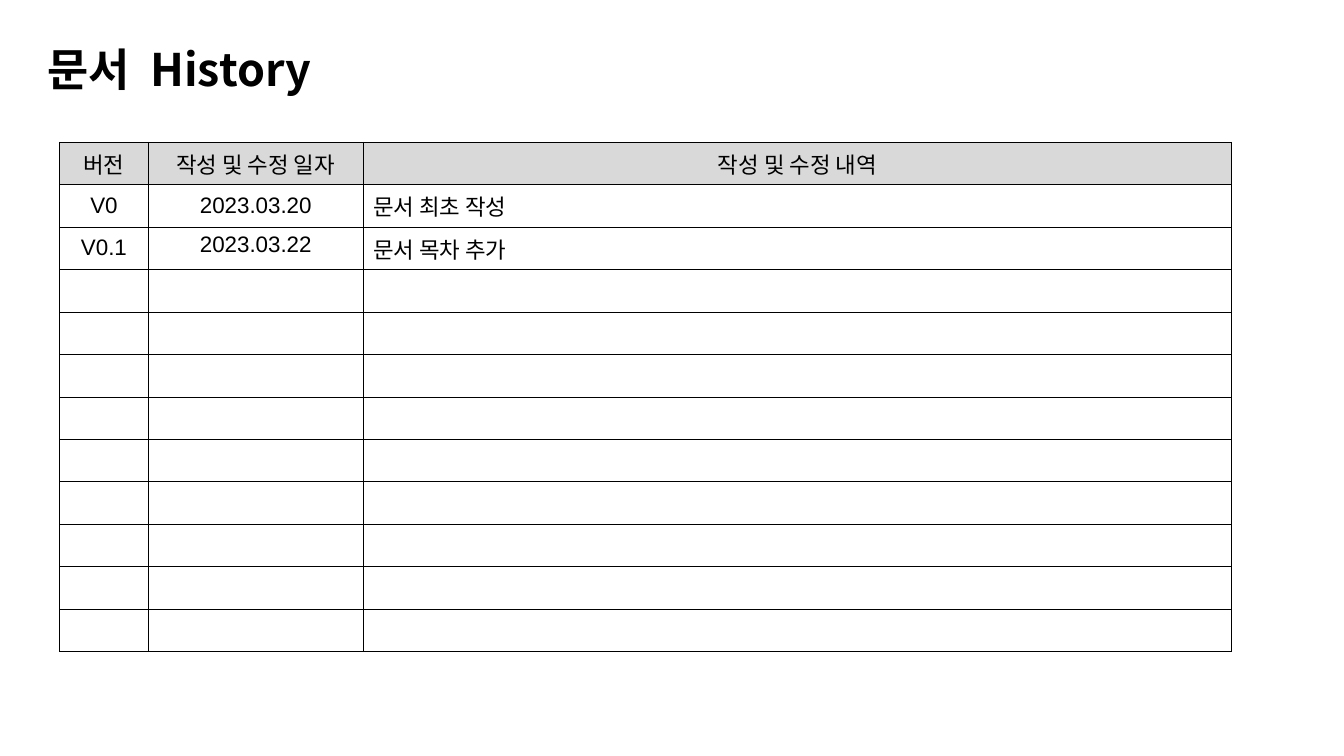
from dataclasses import dataclass

from lxml import etree
from pptx import Presentation
from pptx.dml.color import RGBColor
from pptx.enum.text import MSO_ANCHOR, PP_ALIGN
from pptx.oxml.ns import qn
from pptx.util import Cm, Pt

BLACK = RGBColor(0x00, 0x00, 0x00)
WHITE = RGBColor(0xFF, 0xFF, 0xFF)
GRAY = RGBColor(0xD9, 0xD9, 0xD9)
LEFT, CENTER = PP_ALIGN.LEFT, PP_ALIGN.CENTER
TOP, MIDDLE = MSO_ANCHOR.TOP, MSO_ANCHOR.MIDDLE

KOREAN_FONT = "Noto Sans CJK KR"
TITLE_FORMAT = {"name": KOREAN_FONT, "size": Pt(32), "bold": True}
CELL_FORMAT = {"name": "Arial", "size": Pt(16), "bold": False}
WORD_GAP = 720  # extra width of the title's space, in 1/100 pt
BORDER = Pt(0.5)
ROW_COUNT = 12
ROW_HEIGHT = Cm(1.07)


@dataclass
class Column:
    header: str
    width: float
    align: PP_ALIGN
    fill: RGBColor | None
    margin_x: float
    margin_y: float


@dataclass
class Revision:
    version: str
    date: str
    note: str
    anchor: MSO_ANCHOR


COLUMNS = [
    Column("버전", 2.24, CENTER, None, 0, 0),
    Column("작성 및 수정 일자", 5.41, CENTER, WHITE, 0.25, 0.13),
    Column("작성 및 수정 내역", 21.89, LEFT, WHITE, 0.25, 0.13),
]
REVISIONS = [
    Revision("V0", "2023.03.20", "문서 최초 작성", MIDDLE),
    Revision("V0.1", "2023.03.22", "문서 목차 추가", TOP),
]


def add_run(p, text: str, font_format: dict):
    r = p.add_run()
    r.text = text
    for name, value in font_format.items():
        setattr(r.font, name, value)
    r.font.color.rgb = BLACK
    etree.SubElement(r.font._element, qn("a:ea"), typeface=KOREAN_FONT)
    return r


def add_borders(cell) -> None:
    tcPr = cell._tc.get_or_add_tcPr()
    for side in ("lnL", "lnR", "lnT", "lnB"):
        ln = etree.SubElement(tcPr, qn(f"a:{side}"), w=str(int(BORDER)))
        fill = etree.SubElement(ln, qn("a:solidFill"))
        etree.SubElement(fill, qn("a:srgbClr"), val=str(BLACK))


def fill_cell(cell, col: Column, text: str, align: PP_ALIGN,
              anchor: MSO_ANCHOR, color: RGBColor | None) -> None:
    add_borders(cell)
    if color is None:
        cell.fill.background()
    else:
        cell.fill.solid()
        cell.fill.fore_color.rgb = color
    cell.margin_left = cell.margin_right = Cm(col.margin_x)
    cell.margin_top = cell.margin_bottom = Cm(col.margin_y)
    cell.vertical_anchor = anchor
    p = cell.text_frame.paragraphs[0]
    p.alignment = align
    if text:
        add_run(p, text, CELL_FORMAT)


def add_title(s) -> None:
    tf = s.shapes.add_textbox(Cm(0.76), Cm(1.09), Cm(7.52), Cm(1.47)).text_frame
    tf.word_wrap = False
    tf.vertical_anchor = MIDDLE
    for side in ("left", "right", "top", "bottom"):
        setattr(tf, f"margin_{side}", 0)
    p = tf.paragraphs[0]
    p.alignment = CENTER
    p.line_spacing = 0.9
    add_run(p, "문서", TITLE_FORMAT)
    gap = add_run(p, " ", TITLE_FORMAT)
    gap.font._element.set("spc", str(WORD_GAP))
    add_run(p, "History", TITLE_FORMAT)


def add_history(s) -> None:
    width = Cm(sum(col.width for col in COLUMNS))
    table = s.shapes.add_table(ROW_COUNT, len(COLUMNS), Cm(1.5), Cm(3.58),
                               width, ROW_HEIGHT * ROW_COUNT).table
    table.first_row = table.horz_banding = False
    for row in table.rows:
        row.height = ROW_HEIGHT

    for j, col in enumerate(COLUMNS):
        table.columns[j].width = Cm(col.width)
        fill_cell(table.cell(0, j), col, col.header, CENTER, MIDDLE, GRAY)
        for i in range(1, ROW_COUNT):
            text, anchor = "", MIDDLE
            if i <= len(REVISIONS):
                rev = REVISIONS[i - 1]
                text = (rev.version, rev.date, rev.note)[j]
                anchor = rev.anchor if j else MIDDLE
            fill_cell(table.cell(i, j), col, text, col.align, anchor, col.fill)


def main() -> None:
    prs = Presentation()
    prs.slide_width, prs.slide_height = Cm(33.87), Cm(19.05)
    s = prs.slides.add_slide(prs.slide_layouts[6])
    add_title(s)
    add_history(s)
    prs.save("out.pptx")


if __name__ == "__main__":
    main()
